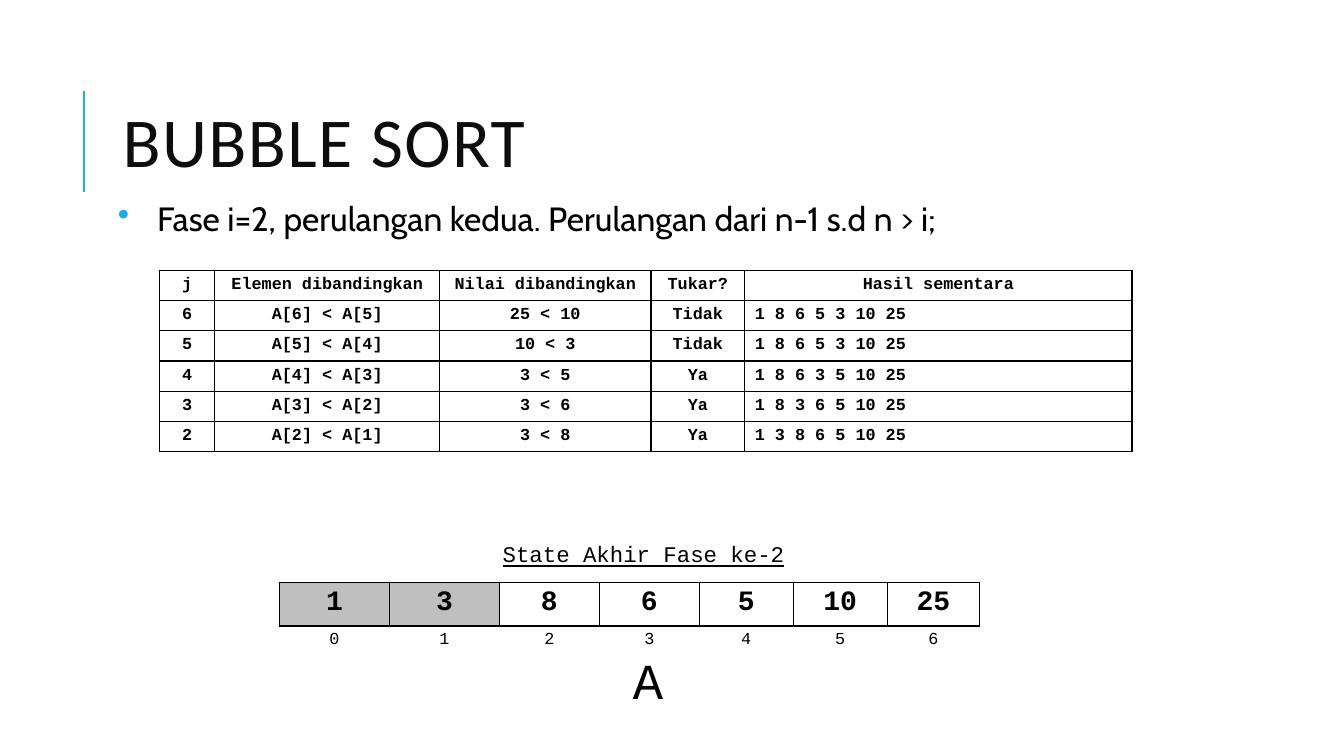
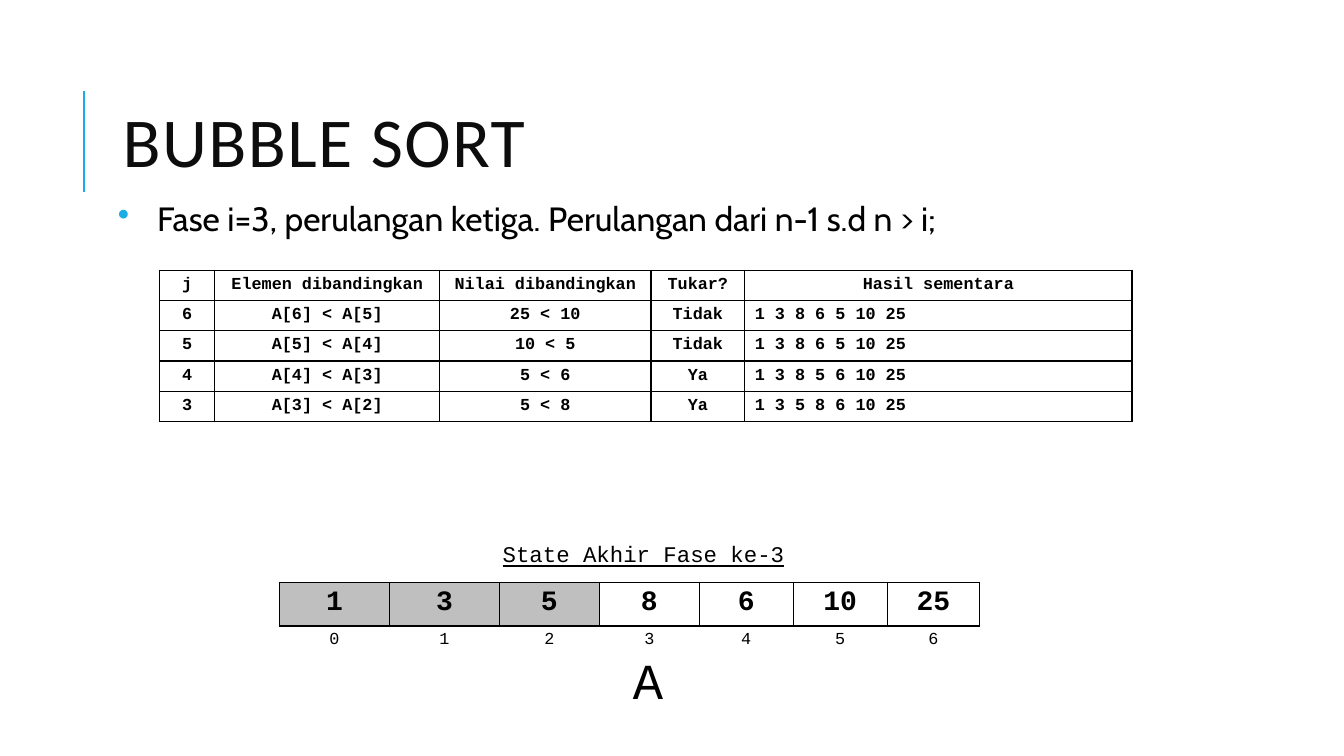
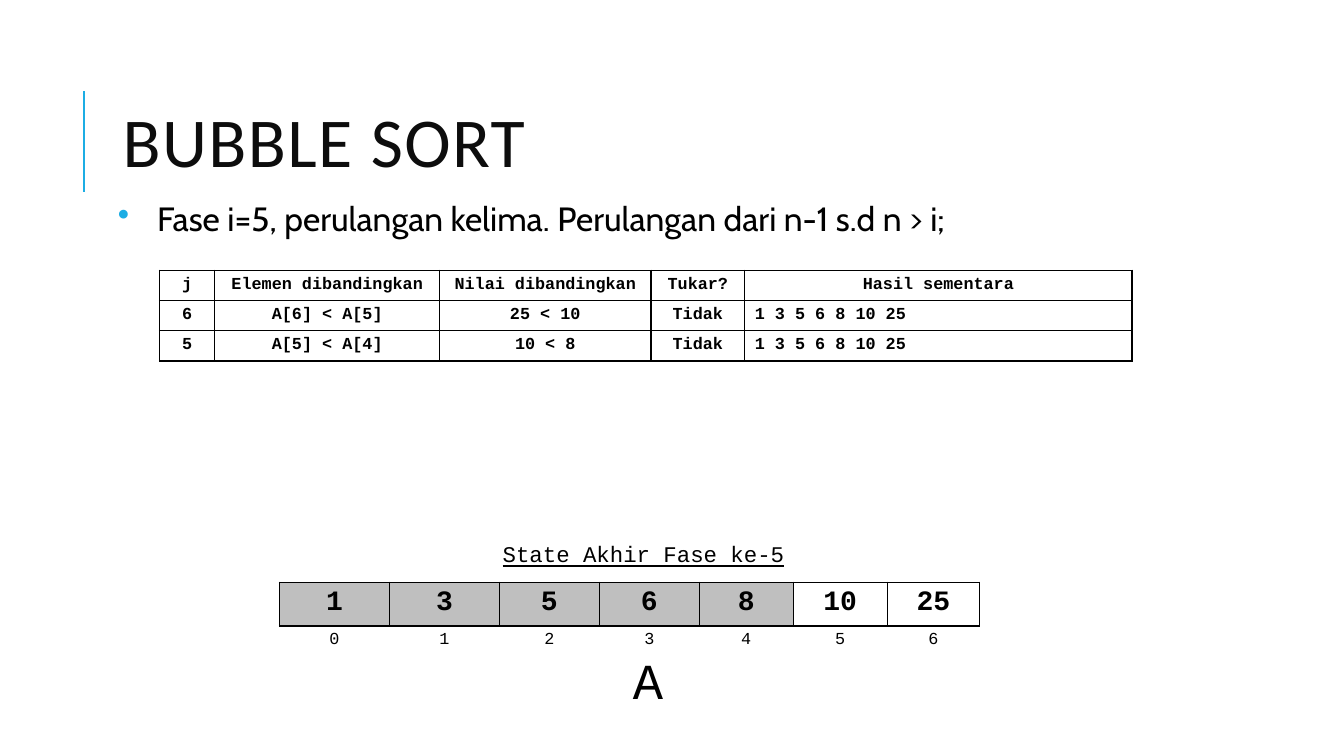
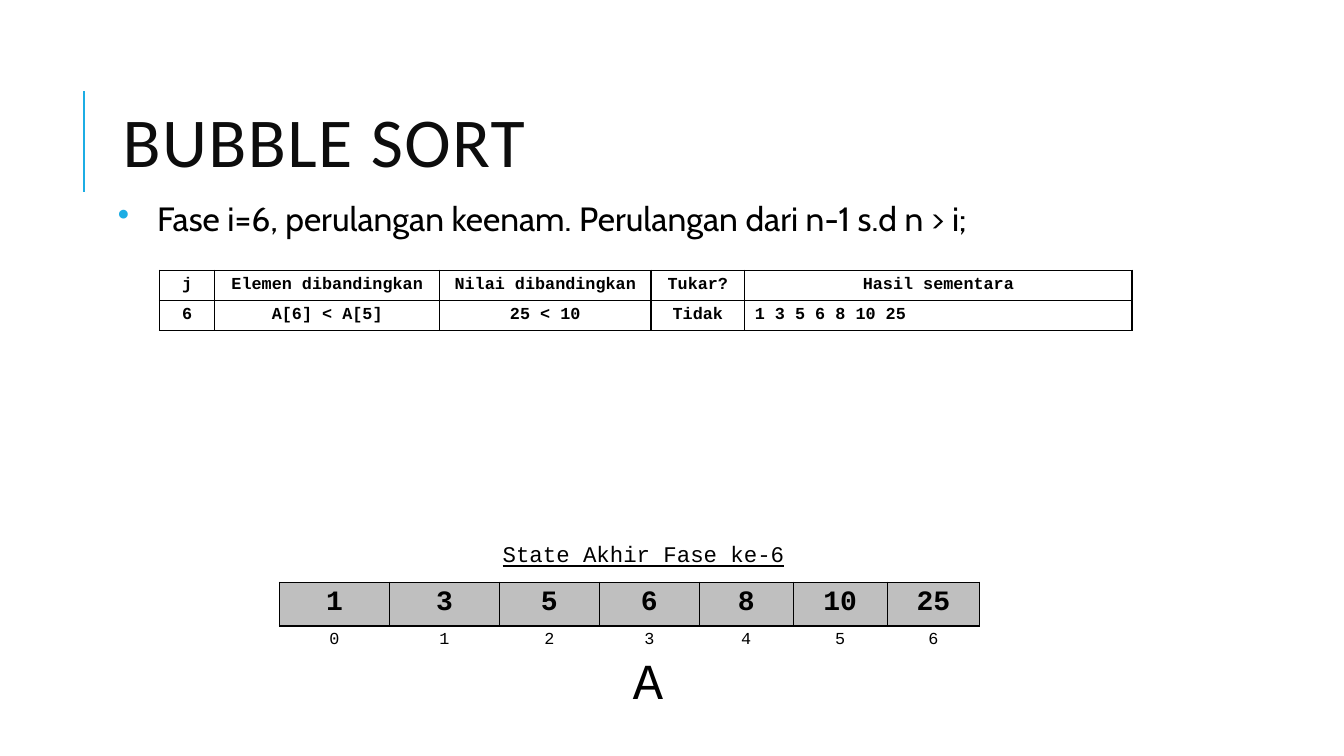
"""Build four slides that trace the phases of a bubble sort."""
from pptx import Presentation
from pptx.dml.color import RGBColor
from pptx.enum import shapes, text
from pptx.oxml import parse_xml
from pptx.oxml.ns import nsdecls
from pptx.util import Pt

TITLE = "BUBBLE SORT"
ARRAY_NAME = "A"
HEADINGS = ["j", "Elemen dibandingkan", "Nilai dibandingkan", "Tukar?", "Hasil sementara"]
LAST_INDEX = 6
PHASES = [
    {"i": 2, "ordinal": "kedua", "sorted": 2, "steps": [
        ("25 < 10", "Tidak", "1 8 6 5 3 10 25"),
        ("10 < 3", "Tidak", "1 8 6 5 3 10 25"),
        ("3 < 5", "Ya", "1 8 6 3 5 10 25"),
        ("3 < 6", "Ya", "1 8 3 6 5 10 25"),
        ("3 < 8", "Ya", "1 3 8 6 5 10 25")]},
    {"i": 3, "ordinal": "ketiga", "sorted": 3, "steps": [
        ("25 < 10", "Tidak", "1 3 8 6 5 10 25"),
        ("10 < 5", "Tidak", "1 3 8 6 5 10 25"),
        ("5 < 6", "Ya", "1 3 8 5 6 10 25"),
        ("5 < 8", "Ya", "1 3 5 8 6 10 25")]},
    {"i": 5, "ordinal": "kelima", "sorted": 5, "steps": [
        ("25 < 10", "Tidak", "1 3 5 6 8 10 25"),
        ("10 < 8", "Tidak", "1 3 5 6 8 10 25")]},
    {"i": 6, "ordinal": "keenam", "sorted": 7, "steps": [
        ("25 < 10", "Tidak", "1 3 5 6 8 10 25")]},
]

ACCENT, INK, TITLE_INK, SORTED_FILL = "1CADE4", "000000", "0D0D0D", "BFBFBF"
CODE, BODY, HEAD = "Courier New", "Cabin", "Calibri"
STEP_WIDTHS = [39.6, 160.5, 151, 67, 276.7]
STATE_WIDTHS = [78.6, 78.6, 71.4, 71.4, 67.1, 67.1, 66.2]
STEP_HEIGHT, STATE_HEIGHT = 20.7, 30.4
CENTER, JUSTIFY = text.PP_ALIGN.CENTER, text.PP_ALIGN.JUSTIFY


def color(value):
    """Turn a hex string into a colour."""
    return RGBColor.from_string(value)


def write(frame, words, size=12, font=CODE, ink=INK, bold=False, underline=False, align=None,
          line=None, before=None, after=None, tracking=None, bullet=None, indent=0):
    """Write one formatted paragraph into a text frame."""
    paragraph = frame.paragraphs[0]
    paragraph.alignment = align
    paragraph.line_spacing = line
    if before is not None:
        paragraph.space_before = Pt(before)
    if after is not None:
        paragraph.space_after = Pt(after)
    if bullet:
        props = paragraph._p.get_or_add_pPr()
        props.set("marL", str(Pt(indent)))
        props.set("indent", str(-Pt(indent)))
        props.append(parse_xml(f'<a:buClr {nsdecls("a")}><a:srgbClr val="{ACCENT}"/></a:buClr>'))
        props.append(parse_xml(f'<a:buChar {nsdecls("a")} char="{bullet}"/>'))
    run = paragraph.add_run()
    run.text = words
    run.font.size, run.font.name = Pt(size), font
    run.font.bold, run.font.underline = bold, underline
    run.font.color.rgb = color(ink)
    if tracking:
        run._r.get_or_add_rPr().set("spc", str(tracking * 100))


def add_text(slide, box, words, wrap=True, inset=None, anchor=text.MSO_ANCHOR.TOP, **style):
    """Add a text box at (left, top, width, height)."""
    frame = slide.shapes.add_textbox(*map(Pt, box)).text_frame
    frame.word_wrap = wrap
    frame.vertical_anchor = anchor
    if inset is not None:
        frame.margin_left = frame.margin_right = Pt(inset)
        frame.margin_top = frame.margin_bottom = Pt(inset)
    write(frame, words, **style)


def add_grid(slide, left, top, widths, height, row_count):
    """Add an unstyled table with equal rows."""
    grid = slide.shapes.add_table(row_count, len(widths), Pt(left), Pt(top),
                                  Pt(sum(widths)), Pt(height * row_count)).table
    grid.first_row = grid.horz_banding = False
    for column, width in zip(grid.columns, widths):
        column.width = Pt(width)
    for row in grid.rows:
        row.height = Pt(height)
    return grid


def fill_cell(cell, words, edges="LRTB", fill=None, **style):
    """Set the borders, fill and text of one cell."""
    props = cell._tc.get_or_add_tcPr()
    for edge in "LRTB":
        paint = f'<a:solidFill><a:srgbClr val="{INK}"/></a:solidFill>' if edge in edges else "<a:noFill/>"
        props.append(parse_xml(f'<a:ln{edge} {nsdecls("a")} w="{Pt(1)}">{paint}</a:ln{edge}>'))
    if fill:
        cell.fill.solid()
        cell.fill.fore_color.rgb = color(fill)
    else:
        cell.fill.background()
    write(cell.text_frame, words, **style)


def add_heading(slide, phase):
    """Add the accent rule, the title and the phase line."""
    rule = slide.shapes.add_connector(shapes.MSO_CONNECTOR.STRAIGHT, Pt(60), Pt(136.8), Pt(60), Pt(64.8))
    rule.line.color.rgb, rule.line.width = color(ACCENT), Pt(1.5)
    rule._element.spPr.append(parse_xml(f'<a:effectLst {nsdecls("a")}/>'))
    add_text(slide, (80.6, 46, 765.4, 118), TITLE, anchor=text.MSO_ANCHOR.MIDDLE,
             size=50, font=HEAD, ink=TITLE_INK, line=0.8, tracking=1)
    add_text(slide, (80.6, 141, 765.4, 52),
             f"Fase i={phase['i']}, perulangan {phase['ordinal']}. Perulangan dari n-1 s.d n > i;",
             inset=3.6, size=24, font=BODY, line=0.9, before=12, after=2, bullet="•", indent=28)


def add_steps(slide, steps):
    """Add the table of comparisons, with j counting down."""
    rows = [HEADINGS]
    for offset, step in enumerate(steps):
        j = LAST_INDEX - offset
        rows.append([str(j), f"A[{j}] < A[{j - 1}]", *step])
    grid = add_grid(slide, 113.9, 193, STEP_WIDTHS, STEP_HEIGHT, len(rows))
    for r, row in enumerate(rows):
        for c, words in enumerate(row):
            is_result = r > 0 and c == len(HEADINGS) - 1
            fill_cell(grid.cell(r, c), words, bold=True, align=JUSTIFY if is_result else CENTER)


def add_state(slide, phase):
    """Add the array as it stands after the phase."""
    values = phase["steps"][-1][-1].split()
    spacing = {"align": CENTER, "before": 5, "after": 5}
    grid = add_grid(slide, 199.6, 415.9, STATE_WIDTHS, STATE_HEIGHT, 2)
    for index, value in enumerate(values):
        fill = SORTED_FILL if index < phase["sorted"] else None
        fill_cell(grid.cell(0, index), value, fill=fill, size=20, bold=True, **spacing)
        fill_cell(grid.cell(1, index), str(index), edges="T", **spacing)
    add_text(slide, (445, 460, 36.7, 51), ARRAY_NAME, wrap=False, size=36)
    add_text(slide, (352, 382.3, 219, 26.6), f"State Akhir Fase ke-{phase['i']}",
             wrap=False, size=16, underline=True)


def main():
    """Build and save the presentation."""
    deck = Presentation()
    deck.slide_width, deck.slide_height = Pt(960), Pt(540)
    for phase in PHASES:
        slide = deck.slides.add_slide(deck.slide_layouts[6])
        add_heading(slide, phase)
        add_steps(slide, phase["steps"])
        add_state(slide, phase)
    deck.save("out.pptx")


if __name__ == "__main__":
    main()
